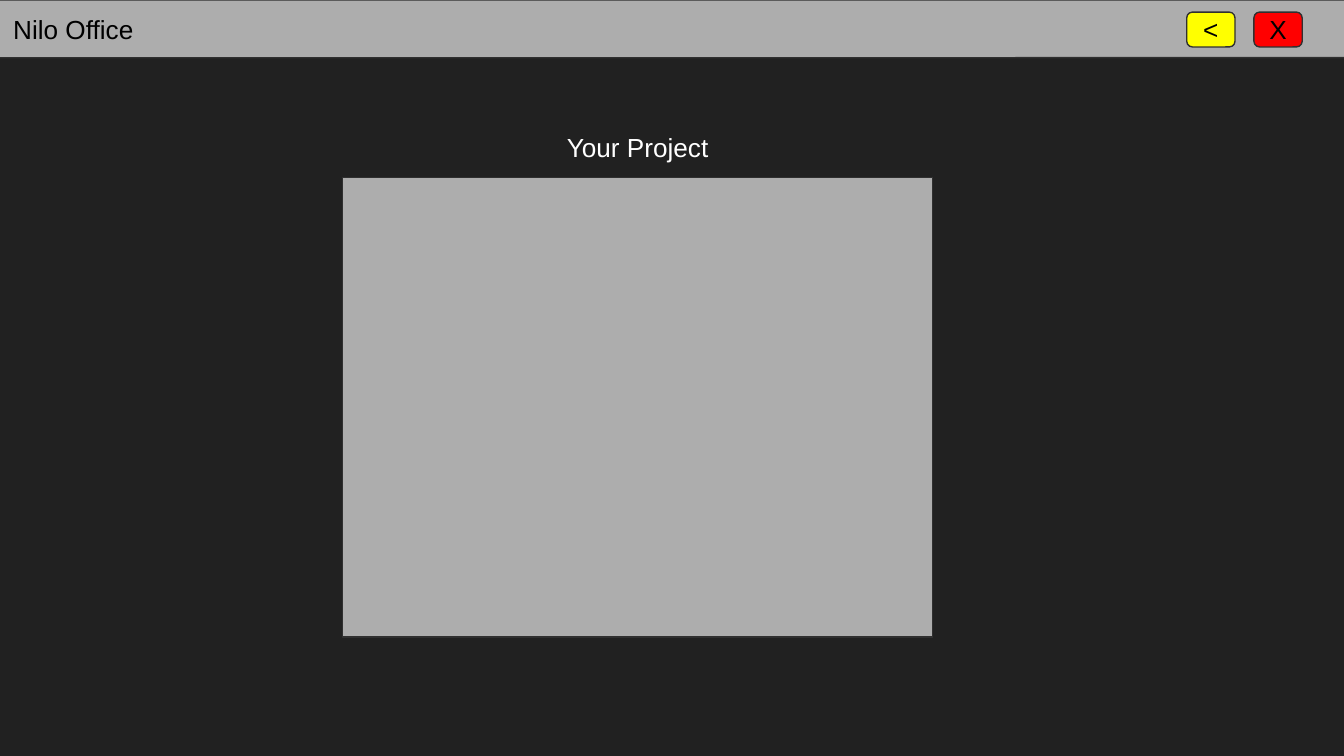
from dataclasses import dataclass

from pptx import Presentation
from pptx.dml.color import RGBColor
from pptx.enum.shapes import MSO_SHAPE as Shape
from pptx.enum.text import MSO_ANCHOR as Anchor, PP_ALIGN as Align
from pptx.util import Inches, Pt


@dataclass(frozen=True)
class Theme:
    """Colours, font and sizes shared by the whole slide."""
    background: str = "212121"
    panel: str = "ADADAD"
    outline: str = "303030"
    close: str = "FF0000"
    back: str = "FFFF00"
    dark_text: str = "000000"
    light_text: str = "FFFFFF"
    font: str = "Arial"
    text_size: float = 14
    line_width: float = 0.75
    inset: float = 0.1


THEME = Theme()


def write_text(shape, text, color, align, anchor):
    """Put one line of styled text into a shape."""
    frame = shape.text_frame
    frame.text = text
    frame.word_wrap = True
    frame.vertical_anchor = anchor
    frame.margin_left = frame.margin_right = Inches(THEME.inset)
    frame.margin_top = frame.margin_bottom = Inches(THEME.inset)
    paragraph = frame.paragraphs[0]
    paragraph.alignment = align
    font = paragraph.runs[0].font
    font.name = THEME.font
    font.size = Pt(THEME.text_size)
    font.color.rgb = RGBColor.from_string(color)


def add_box(slide, kind, left, top, width, height, fill):
    """Add a filled and outlined shape."""
    shape = slide.shapes.add_shape(
        kind, Inches(left), Inches(top), Inches(width), Inches(height))
    shape.shadow.inherit = False
    shape.fill.solid()
    shape.fill.fore_color.rgb = RGBColor.from_string(fill)
    shape.line.color.rgb = RGBColor.from_string(THEME.outline)
    shape.line.width = Pt(THEME.line_width)
    return shape


def add_label(slide, left, top, width, height, text, color, align=Align.LEFT):
    """Add a text box with one line."""
    label = slide.shapes.add_textbox(
        Inches(left), Inches(top), Inches(width), Inches(height))
    write_text(label, text, color, align, Anchor.TOP)


def add_title_bar(slide, left, top, width, height):
    """Add the window bar with its title and buttons."""
    overhang, button_width, button_height = 0.26, 0.36, 0.26
    button_step, right_margin = 0.5, 0.31
    add_box(slide, Shape.ROUNDED_RECTANGLE, left - overhang, top,
            width + 2 * overhang, height, THEME.panel)
    add_label(slide, left, top, 2.3, 0.44, "Nilo Office", THEME.dark_text)
    last_left = left + width - right_margin - button_width
    buttons = [("X", THEME.close), ("<", THEME.back)]
    for index, (symbol, fill) in enumerate(buttons):
        button = add_box(slide, Shape.ROUNDED_RECTANGLE,
                         last_left - index * button_step, top + 0.09,
                         button_width, button_height, fill)
        write_text(button, symbol, THEME.dark_text, Align.CENTER, Anchor.MIDDLE)


def add_project_panel(slide, left, top, width, height):
    """Add the project heading with the empty work area below it."""
    heading_width, heading_height = 1.94, 0.44
    add_box(slide, Shape.RECTANGLE, left, top + heading_height,
            width, height - heading_height, THEME.panel)
    add_label(slide, left + (width - heading_width) / 2, top, heading_width,
              heading_height, "Your Project", THEME.light_text, Align.CENTER)


def main():
    """Build and save the slide."""
    presentation = Presentation()
    presentation.slide_width = Inches(10)
    presentation.slide_height = Inches(10 * 9 / 16)
    slide = presentation.slides.add_slide(presentation.slide_layouts[6])
    slide.background.fill.solid()
    slide.background.fill.fore_color.rgb = RGBColor.from_string(THEME.background)
    add_title_bar(slide, 0, 0, 10, 0.43)
    add_project_panel(slide, 2.55, 0.88, 4.39, 3.86)
    presentation.save("out.pptx")


if __name__ == "__main__":
    main()
